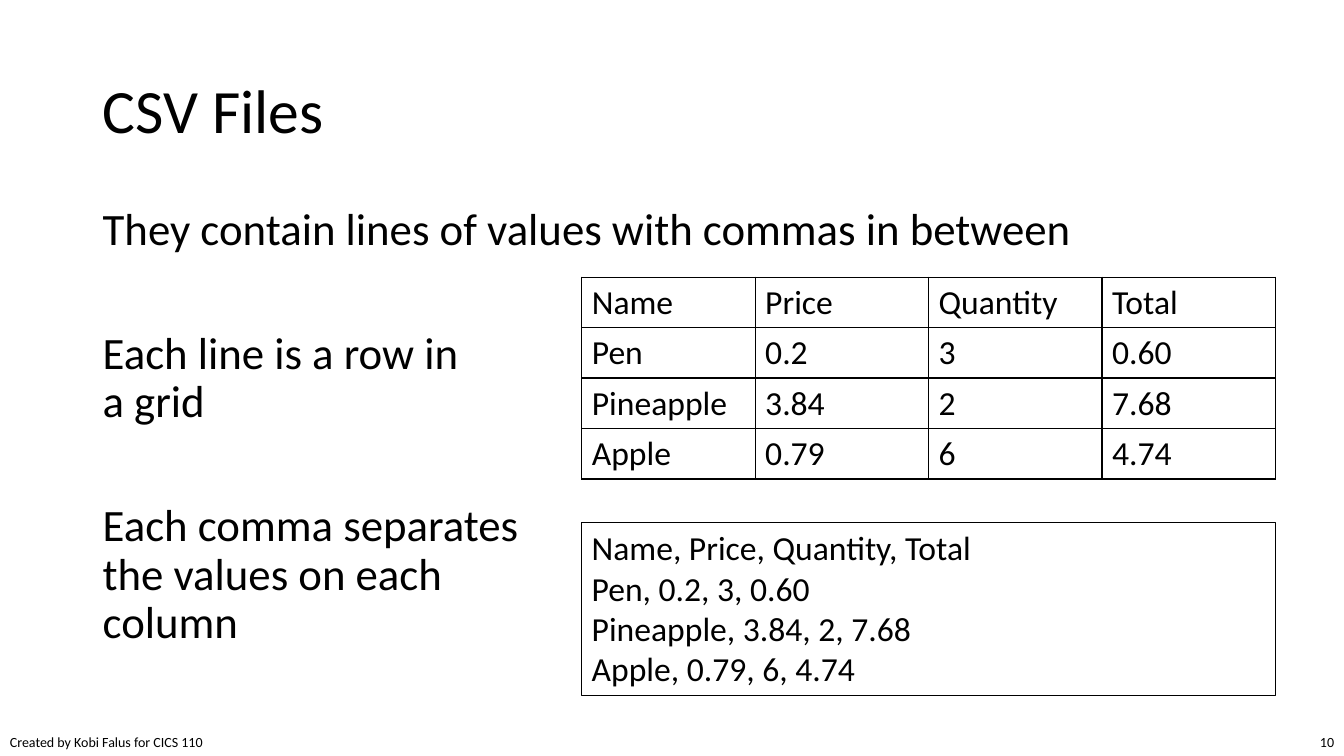
from dataclasses import dataclass

import pptx
import pptx.dml.color
import pptx.enum.shapes
import pptx.enum.text
import pptx.oxml
import pptx.oxml.ns
import pptx.util

TITLE = "CSV Files"
POINTS = [
    ["They contain lines of values with commas in between"],
    ["Each line is a row in ", "a grid"],
    ["Each comma separates", "the values on each ", "column"],
]
RECORDS = [
    ["Name", "Price", "Quantity", "Total"],
    ["Pen", "0.2", "3", "0.60"],
    ["Pineapple", "3.84", "2", "7.68"],
    ["Apple", "0.79", "6", "4.74"],
]
CREDIT = "Created by Kobi Falus for CICS 110"
PAGE = "10"


@dataclass(frozen=True)
class Theme:
    font: str = "Calibri"
    ink: str = "000000"
    title: int = 44
    body: int = 32
    data: int = 24
    footer: int = 10
    grid_line: float = 1
    box_line: float = 0.75
    point_gap: int = 54
    leading: float = 0.9


THEME = Theme()
INK = pptx.dml.color.RGBColor.from_string(THEME.ink)
ALIGN = pptx.enum.text.PP_ALIGN
ANCHOR = pptx.enum.text.MSO_ANCHOR

WIDTH, HEIGHT = 13.33, 7.5
MARGIN = 0.92
CONTENT_W = 11.5
DATA_X, DATA_W = 5.77, 6.88
TABLE_Y, ROW_H = 2.75, 0.5
CSV_Y, CSV_H = 5.18, 1.72
FOOTER_H = 0.27
CREDIT_W, PAGE_W = 2.15, 0.55


def inches(*lengths):
    return [pptx.util.Inches(n) for n in lengths]


def write(p, lines, size, align=ALIGN.LEFT):
    """Fill a paragraph with lines parted by line breaks."""
    p.alignment = align
    p.font.size = pptx.util.Pt(size)
    for i, line in enumerate(lines):
        if i:
            p.add_line_break()
        r = p.add_run()
        r.text = line
        r.font.name = THEME.font
        r.font.size = pptx.util.Pt(size)
        r.font.color.rgb = INK


def write_all(tf, paragraphs, size, gap=0, leading=None):
    for i, lines in enumerate(paragraphs):
        p = tf.add_paragraph() if i else tf.paragraphs[0]
        write(p, lines, size)
        p.line_spacing = leading
        if i and gap:
            p.space_before = pptx.util.Pt(gap)


def add_text_box(s, *box, wrap=True):
    tf = s.shapes.add_textbox(*inches(*box)).text_frame
    tf.word_wrap = wrap
    return tf


def add_borders(cell):
    width = pptx.util.Pt(THEME.grid_line)
    tc_pr = cell._tc.get_or_add_tcPr()
    for i, side in enumerate(("lnL", "lnR", "lnT", "lnB")):
        tc_pr.insert(i, pptx.oxml.parse_xml(
            f'<a:{side} {pptx.oxml.ns.nsdecls("a")} w="{width}"><a:solidFill>'
            f'<a:srgbClr val="{THEME.ink}"/></a:solidFill></a:{side}>'))


def add_title(s):
    title = s.shapes.title
    title.left, title.top, title.width, title.height = inches(MARGIN, 0.4, CONTENT_W, 1.45)
    title.text_frame.vertical_anchor = ANCHOR.MIDDLE
    write_all(title.text_frame, [[TITLE]], THEME.title, leading=THEME.leading)


def add_grid(s):
    rows, cols = len(RECORDS), len(RECORDS[0])
    table = s.shapes.add_table(
        rows, cols, *inches(DATA_X, TABLE_Y, DATA_W, rows * ROW_H)).table
    table.first_row = table.horz_banding = False
    for i, record in enumerate(RECORDS):
        for j, value in enumerate(record):
            cell = table.cell(i, j)
            cell.fill.background()
            add_borders(cell)
            write(cell.text_frame.paragraphs[0], [value], THEME.data)


def add_csv_box(s):
    sp = s.shapes.add_shape(pptx.enum.shapes.MSO_SHAPE.RECTANGLE,
                            *inches(DATA_X, CSV_Y, DATA_W, CSV_H))
    sp.shadow.inherit = False
    sp.fill.background()
    sp.line.color.rgb = INK
    sp.line.width = pptx.util.Pt(THEME.box_line)
    sp.text_frame.word_wrap = True
    sp.text_frame.vertical_anchor = ANCHOR.TOP
    write_all(sp.text_frame, [[", ".join(record)] for record in RECORDS], THEME.data)


def add_footer(s):
    y = HEIGHT - FOOTER_H
    credit = add_text_box(s, 0, y, CREDIT_W, FOOTER_H, wrap=False)
    write(credit.paragraphs[0], [CREDIT], THEME.footer)
    page = add_text_box(s, WIDTH - PAGE_W, y, PAGE_W, FOOTER_H)
    write(page.paragraphs[0], [PAGE], THEME.footer, ALIGN.RIGHT)


def main():
    prs = pptx.Presentation()
    prs.slide_width, prs.slide_height = inches(WIDTH, HEIGHT)
    s = prs.slides.add_slide(prs.slide_layouts.get_by_name("Title Only"))
    add_footer(s)
    add_title(s)
    body = add_text_box(s, MARGIN, 2, CONTENT_W, 4.76)
    write_all(body, POINTS, THEME.body, THEME.point_gap, THEME.leading)
    add_grid(s)
    add_csv_box(s)
    prs.save("out.pptx")


if __name__ == "__main__":
    main()
